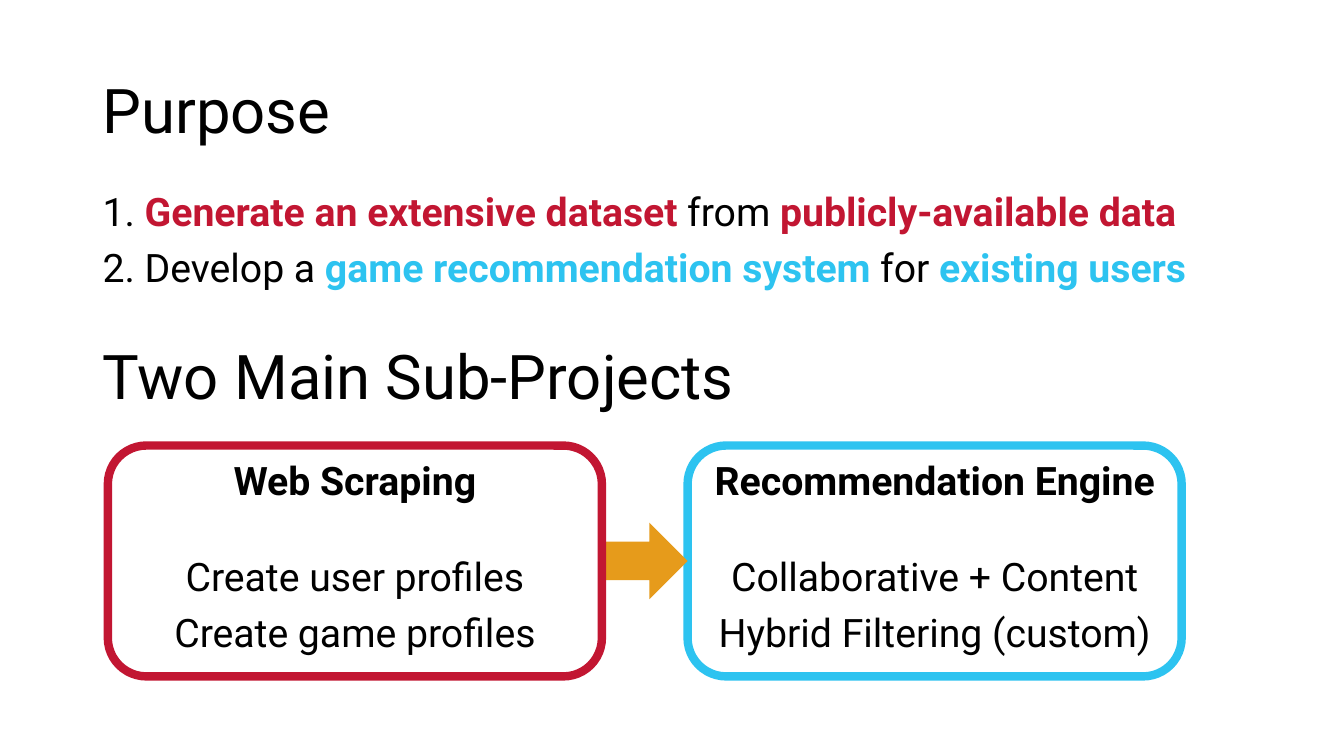
import pptx
import pptx.util
import pptx.dml.color
import pptx.enum.shapes
import pptx.enum.text

Inches = pptx.util.Inches
Pt = pptx.util.Pt
RGBColor = pptx.dml.color.RGBColor
Shape = pptx.enum.shapes.MSO_SHAPE
Anchor = pptx.enum.text.MSO_ANCHOR
Align = pptx.enum.text.PP_ALIGN

BLACK = RGBColor(0x00, 0x00, 0x00)
WHITE = RGBColor(0xFF, 0xFF, 0xFF)
RED = RGBColor(0xC2, 0x16, 0x32)
BLUE = RGBColor(0x2D, 0xC3, 0xF0)
GOLD = RGBColor(0xE6, 0x9B, 0x1B)
FONT = "Roboto"

LEFT = 0.92
CARD_LEFT, CARD_TOP, CARD_WIDE, CARD_HIGH = 1.07, 4.42, 4.9, 2.29
ARROW_WIDE, ARROW_HIGH = 0.85, 0.76

GOALS = [
    [("1. ", None), ("Generate an extensive dataset ", RED),
     ("from ", None), ("publicly-available data", RED)],
    [("2. Develop a ", None), ("game recommendation system ", BLUE),
     ("for ", None), ("existing users", BLUE)],
]


def add_run(para, text, size=28, color=BLACK, bold=False):
    run = para.add_run()
    run.text = text
    run.font.name = FONT
    run.font.size = Pt(size)
    run.font.color.rgb = color
    run.font.bold = bold


def add_para(frame, first, align=Align.LEFT, before=10):
    para = frame.paragraphs[0] if first else frame.add_paragraph()
    para.alignment = align
    para.line_spacing = 0.9
    para.space_before = Pt(before)
    return para


def add_frame(slide, left, top, wide, high, anchor):
    box = slide.shapes.add_textbox(*map(Inches, (left, top, wide, high)))
    frame = box.text_frame
    frame.word_wrap = True
    frame.vertical_anchor = anchor
    return frame


def add_title(slide, text, left, top, wide=11.5, high=1.45):
    frame = add_frame(slide, left, top, wide, high, Anchor.MIDDLE)
    add_run(add_para(frame, True, before=0), text, size=44)


def add_goals(slide, left, top, wide, high):
    """Write the numbered goals, with key phrases bold and coloured."""
    frame = add_frame(slide, left, top, wide, high, Anchor.TOP)
    for index, goal in enumerate(GOALS):
        para = add_para(frame, index == 0)
        for text, color in goal:
            add_run(para, text, color=color or BLACK, bold=color is not None)


def add_block(slide, kind, left, top, wide, high, fill):
    block = slide.shapes.add_shape(kind, *map(Inches, (left, top, wide, high)))
    block.shadow.inherit = False
    block.fill.solid()
    block.fill.fore_color.rgb = fill
    block.line.fill.background()
    return block


def add_card(slide, left, top, wide, high, color, head, lines):
    """Draw an outlined card: a bold heading, a gap, then its lines."""
    card = add_block(slide, Shape.ROUNDED_RECTANGLE, left, top, wide, high, WHITE)
    card.line.color.rgb = color
    card.line.width = Pt(6)
    frame = card.text_frame
    frame.word_wrap = True
    frame.vertical_anchor = Anchor.TOP
    for index, text in enumerate([head, *lines]):
        para = add_para(frame, index == 0, Align.CENTER, 38 if index == 1 else 10)
        add_run(para, text, bold=index == 0)


def add_flow(slide, left, top, wide, high):
    """Place two cards joined by an arrow; each has the given size."""
    start = left + wide
    end = start + ARROW_WIDE
    add_card(slide, end, top, wide, high, BLUE, "Recommendation Engine",
             ["Collaborative + Content", "Hybrid Filtering (custom)"])
    add_block(slide, Shape.RIGHT_ARROW, start, top + (high - ARROW_HIGH) / 2,
              ARROW_WIDE, ARROW_HIGH, GOLD)
    add_card(slide, left, top, wide, high, RED, "Web Scraping",
             ["Create user profiles", "Create game profiles"])


def main():
    deck = pptx.Presentation()
    deck.slide_width = Inches(13.33)
    deck.slide_height = Inches(7.5)
    slide = deck.slides.add_slide(deck.slide_layouts[6])
    add_title(slide, "Purpose", LEFT, 0.4)
    add_goals(slide, LEFT, 1.86, 12.19, 1.64)
    add_title(slide, "Two Main Sub-Projects", LEFT, 3.04)
    add_flow(slide, CARD_LEFT, CARD_TOP, CARD_WIDE, CARD_HIGH)
    deck.save("out.pptx")


if __name__ == "__main__":
    main()
